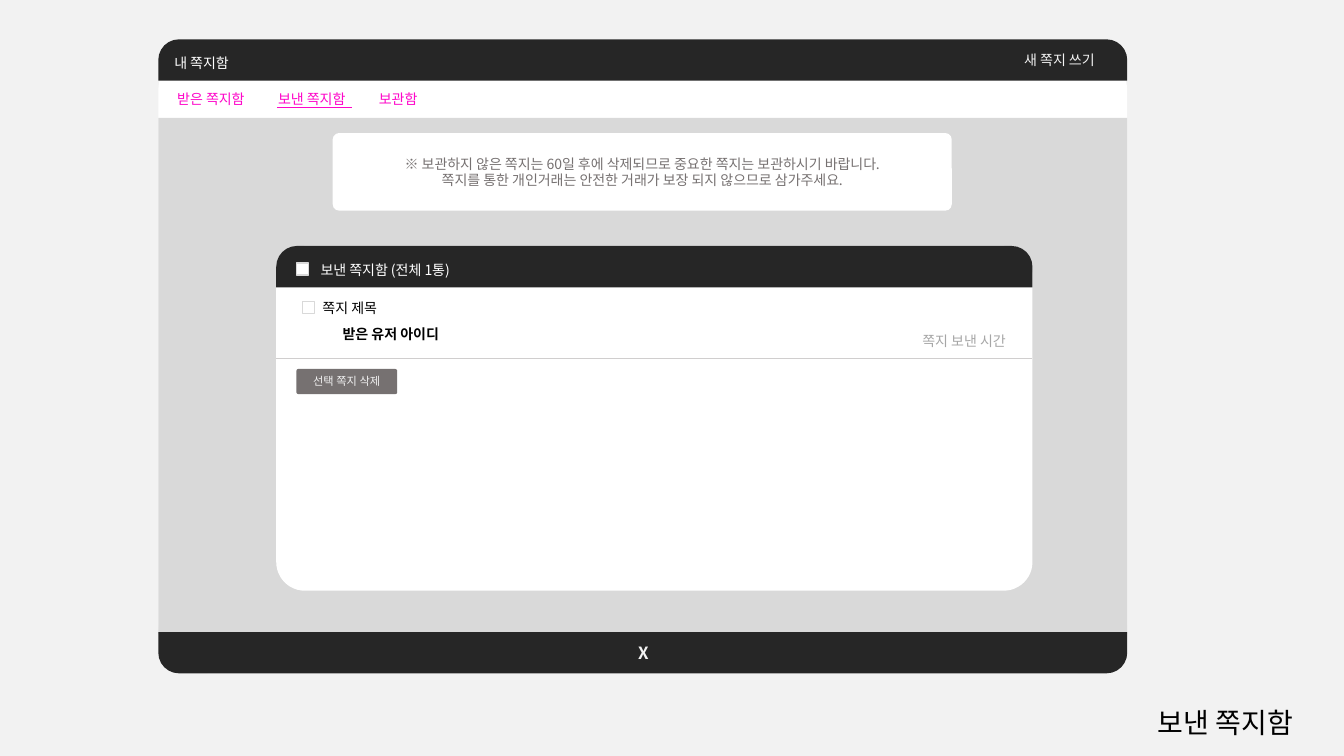
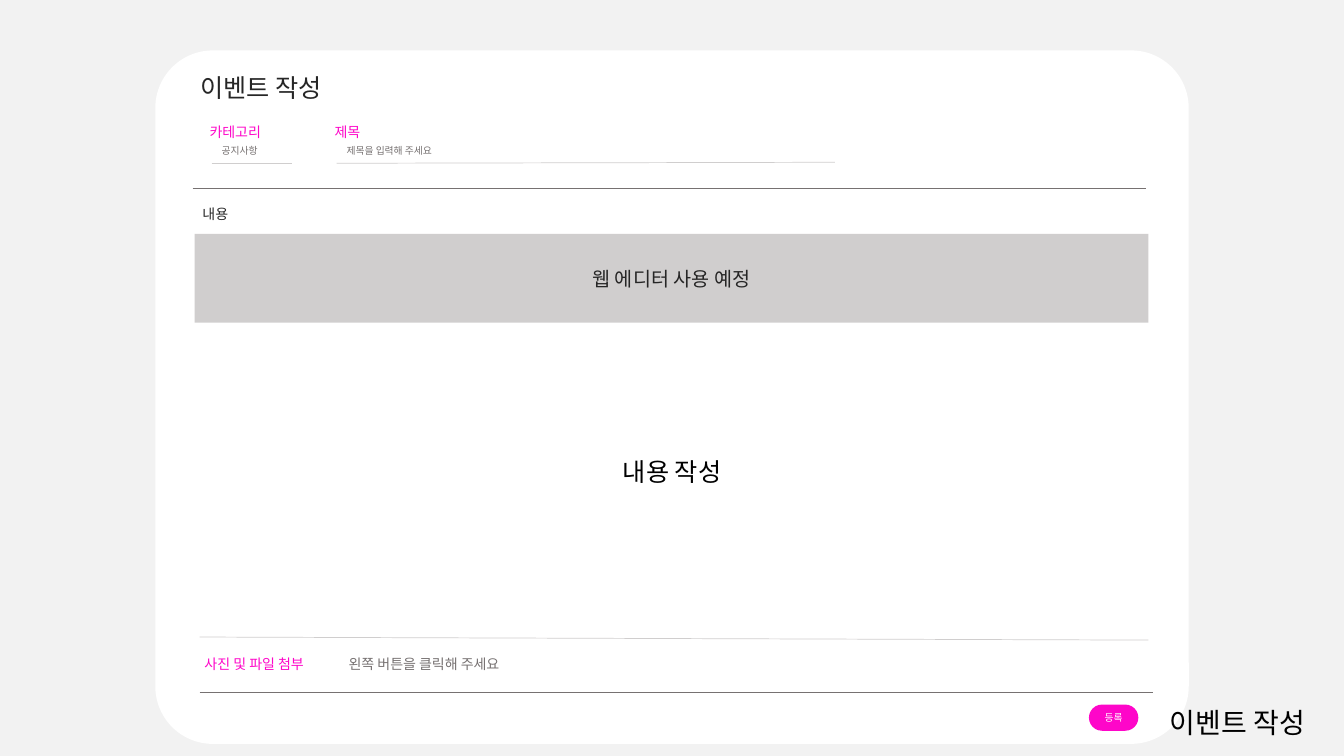
import pptx
import pptx.util
import pptx.dml.color
import pptx.enum.shapes
import pptx.enum.text
import pptx.oxml
import pptx.oxml.ns

Inches = pptx.util.Inches
FORMS = pptx.enum.shapes.MSO_SHAPE
ALIGN = pptx.enum.text.PP_ALIGN
FACE = "Noto Sans CJK KR"
PINK, WHITE, BLACK, PALE = "FE06C9", "FFFFFF", "000000", "F2F2F2"
DARK, GRAY, RULE, BACK, FAINT = "262626", "767171", "D0CECE", "D9D9D9", "A6A6A6"
ROUND = 0.083
BAR = 0.41
CENTER = {"alignment": ALIGN.CENTER}
LEFT = {"alignment": ALIGN.LEFT}

MAIL = {
    "label": ("보낸 쪽지함", 10.7, 2.91),
    "window": ((1.57, 0.39, 9.61, 6.29), "내 쪽지함", 0.1),
    "panel": ((2.74, 2.44, 7.5, 3.42), "보낸 쪽지함 (전체 1통)", 0.38),
    "tabs": "받은 쪽지함\t보낸 쪽지함\t보관함",
    "notice": [
        "※ 보관하지 않은 쪽지는 60일 후에 삭제되므로 중요한 쪽지는 보관하시기 바랍니다.",
        "쪽지를 통한 개인거래는 안전한 거래가 보장 되지 않으므로 삼가주세요.",
    ],
    "checks": [(2.94, 2.61), (3, 2.99)],
    "notes": [
        ("쪽지 제목", (3.1, 2.92, 0.85, 0.27), BLACK, 10, False),
        ("받은 유저 아이디", (3.3, 3.18, 1.37, 0.27), BLACK, 10, True),
        ("쪽지 보낸 시간", (9.05, 3.25, 1.25, 0.27), FAINT, 10, False),
        ("X", (6.23, 6.33, 0.28, 0.3), PALE, 12, True),
        ("새 쪽지 쓰기", (10.06, 0.46, 1.29, 0.27), PALE, 10, False),
    ],
    "button": "선택 쪽지 삭제",
}
EVENT = {
    "label": ("이벤트 작성", 11.37, 1.81),
    "rules": [
        ((1.91, 1.87), (11.37, 1.87), GRAY),
        ((1.98, 6.87), (11.44, 6.87), GRAY),
        ((1.98, 6.32), (11.39, 6.35), RULE),
    ],
    "notes": [
        ("이벤트 작성", (1.89, 0.67, 1.83, 0.4), DARK, 18, LEFT),
        ("내용", (1.91, 1.99, 0.82, 0.27), DARK, 10, LEFT),
        ("내용 작성", (4.12, 4.48, 5.09, 0.4), BLACK, 18, CENTER),
    ],
    "fields": [
        ("카테고리", "공지사항", 1.98, 0.8, 0.99, 1.62),
        ("제목", "제목을 입력해 주세요", 3.22, 4.94, 1.32, 1.61),
    ],
    "editor": "웹 에디터 사용 예정",
    "attach": [("사진 및 파일 첨부", PINK), ("\t왼쪽 버튼을 클릭해 주세요", GRAY)],
    "button": "등록",
}


def hue(code):
    return pptx.dml.color.RGBColor.from_string(code)


def apply(target, values):
    for key, value in values.items():
        setattr(target, key, value)


def add_run(para, words, color, size, bold=False):
    run = para.add_run()
    run.text = words
    run.font.color.rgb = hue(color)
    apply(run.font, {"size": pptx.util.Pt(size), "bold": bold, "name": FACE})
    east = pptx.oxml.parse_xml(
        f'<a:ea {pptx.oxml.ns.nsdecls("a")} typeface="{FACE}"/>')
    run._r.get_or_add_rPr().append(east)


def write(shape, lines, color, size=10, bold=False, look=LEFT):
    frame = shape.text_frame
    frame.word_wrap = True
    for row, words in enumerate(lines):
        para = frame.add_paragraph() if row else frame.paragraphs[0]
        apply(para, look)
        add_run(para, words, color, size, bold)


def note(page, words, at, color, size=10, bold=False, look=LEFT):
    box = page.shapes.add_textbox(*map(Inches, at))
    write(box, [words], color, size, bold, look)
    box.text_frame.auto_size = pptx.enum.text.MSO_AUTO_SIZE.SHAPE_TO_FIT_TEXT


def block(page, form, at, fill=None, adjust=(), edge=None):
    shape = page.shapes.add_shape(form, *map(Inches, at))
    shape.shadow.inherit = False
    shape.text_frame.vertical_anchor = pptx.enum.text.MSO_ANCHOR.MIDDLE
    for spot, value in enumerate(adjust):
        shape.adjustments[spot] = value
    if fill:
        shape.fill.solid()
        shape.fill.fore_color.rgb = hue(fill)
    else:
        shape.fill.background()
    if edge:
        shape.line.color.rgb = hue(edge)
        shape.line.width = pptx.util.Pt(1)
    else:
        shape.line.fill.background()
    return shape


def panel(page, at, fill, curve=ROUND):
    return block(page, FORMS.ROUNDED_RECTANGLE, at, fill, [curve])


def bar(page, at, ends=(0.5, 0)):
    return block(page, FORMS.ROUND_2_SAME_RECTANGLE, at, DARK, ends)


def window(page, at, title, inset):
    left, top, width, height = at
    panel(page, at, WHITE)
    head = bar(page, (left, top, width, BAR))
    head.text_frame.margin_left = Inches(inset)
    write(head, [title], WHITE)


def rule(page, start, end, color):
    line = page.shapes.add_connector(
        pptx.enum.shapes.MSO_CONNECTOR.STRAIGHT, *map(Inches, start + end))
    line.line.color.rgb = hue(color)
    line.line.width = pptx.util.Pt(0.5)
    line._element.spPr.append(pptx.oxml.parse_xml(
        f'<a:effectLst {pptx.oxml.ns.nsdecls("a")}/>'))


def new_page(deck):
    page = deck.slides.add_slide(deck.slide_layouts[6])
    page.background.fill.solid()
    page.background.fill.fore_color.rgb = hue(PALE)
    return page


def label(page, words, left, width):
    note(page, words, (left, 6.95, width, 0.44), BLACK, 20, look=CENTER)


def build_mail(deck):
    page = new_page(deck)
    window(page, *MAIL["window"])
    left, top, width, height = MAIL["window"][0]
    note(page, MAIL["tabs"], (1.66, 0.85, 6, 0.27), PINK)
    rule(page, (2.75, 1.07), (3.49, 1.07), PINK)
    panel(page, (left, 1.17, width, 5.12), BACK, 0)
    notice = panel(page, (3.3, 1.32, 6.14, 0.77), WHITE)
    write(notice, MAIL["notice"], GRAY, look=CENTER)
    bar(page, (left, top + height - BAR, width, BAR), (0, 0.5))
    window(page, *MAIL["panel"])
    left, top, width, height = MAIL["panel"][0]
    rule(page, (left, 3.56), (left + width, 3.56), RULE)
    for x, y in MAIL["checks"]:
        block(page, FORMS.RECTANGLE, (x, y, 0.12, 0.12), WHITE, edge=BACK)
    for item in MAIL["notes"]:
        note(page, *item)
    button = panel(page, (2.94, 3.66, 1, 0.25), GRAY)
    write(button, [MAIL["button"]], PALE, 8, look=CENTER)
    label(page, *MAIL["label"])


def build_event(deck):
    page = new_page(deck)
    panel(page, (1.54, 0.5, 10.25, 6.88), WHITE)
    for item in EVENT["rules"]:
        rule(page, *item)
    label(page, *EVENT["label"])
    button = panel(page, (10.8, 6.99, 0.49, 0.26), PINK, 0.5)
    write(button, [EVENT["button"]], WHITE, 7, look=CENTER)
    apply(button.text_frame, {"margin_left": 0, "margin_right": 0})
    editor = panel(page, (1.93, 2.32, 9.46, 0.88), RULE, 0)
    write(editor, [EVENT["editor"]], DARK, 14, look=CENTER)
    for words, at, color, size, look in EVENT["notes"]:
        note(page, words, at, color, size, look=look)
    for title, hint, left, span, width, end in EVENT["fields"]:
        inner = left + 0.12
        note(page, title, (left, 1.18, 0.82, 0.27), PINK)
        rule(page, (inner, 1.62), (inner + span, end), RULE)
        note(page, hint, (inner, 1.39, width, 0.22), GRAY, 7)
    attach = panel(page, (1.93, 6.46, 9.46, 0.25), None, 0)
    para = attach.text_frame.paragraphs[0]
    apply(para, LEFT)
    para._p.get_or_add_pPr().append(pptx.oxml.parse_xml(
        f'<a:tabLst {pptx.oxml.ns.nsdecls("a")}>'
        f'<a:tab pos="{Inches(1.43)}" algn="l"/></a:tabLst>'))
    for words, color in EVENT["attach"]:
        add_run(para, words, color, 10)


def main():
    deck = pptx.Presentation()
    apply(deck, {"slide_width": Inches(13.33), "slide_height": Inches(7.5)})
    build_mail(deck)
    build_event(deck)
    deck.save("out.pptx")


if __name__ == "__main__":
    main()
